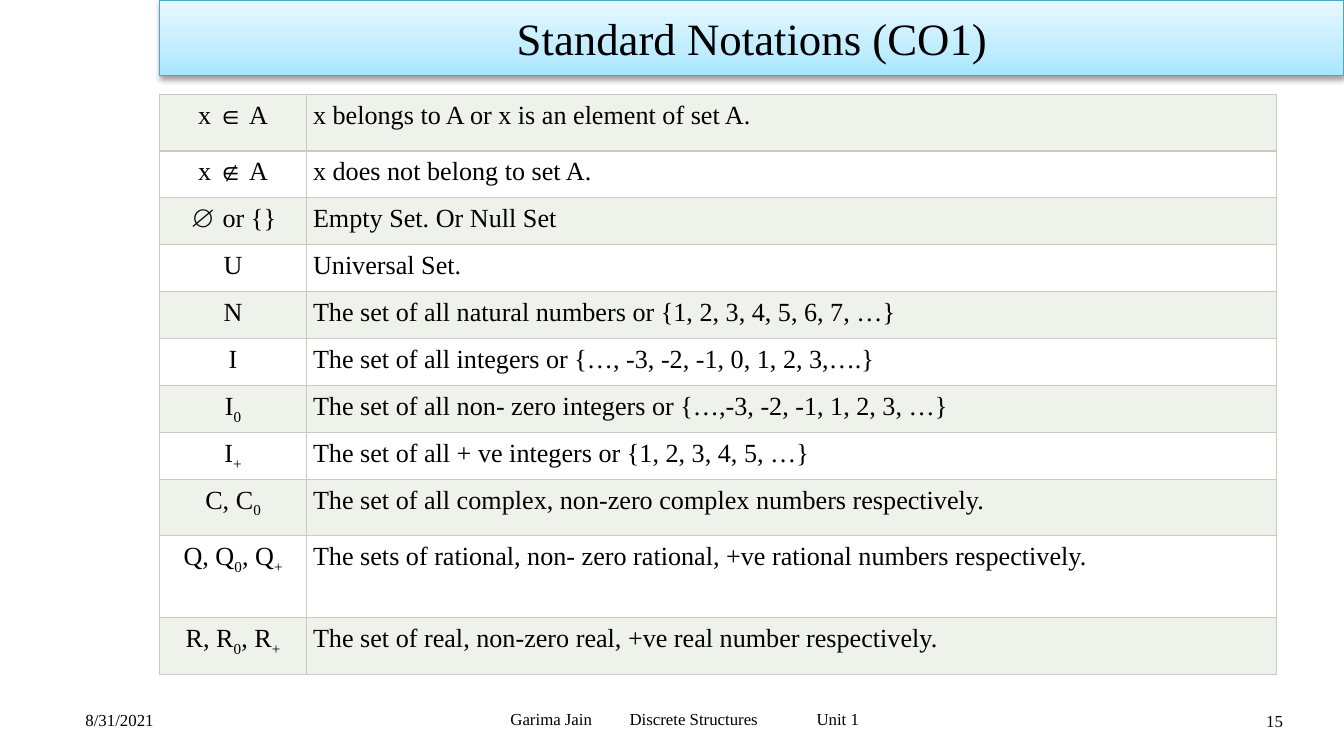
"""Build a slide with a table of standard set notations."""
from dataclasses import dataclass

from lxml import etree
from pptx import Presentation
from pptx.dml.color import RGBColor
from pptx.enum.text import MSO_ANCHOR, MSO_AUTO_SIZE, PP_ALIGN
from pptx.oxml import parse_xml
from pptx.oxml.ns import nsdecls, qn
from pptx.util import Pt

LEFT, CENTER, RIGHT = PP_ALIGN.LEFT, PP_ALIGN.CENTER, PP_ALIGN.RIGHT
MIDDLE = MSO_ANCHOR.MIDDLE
NO_AUTOFIT = MSO_AUTO_SIZE.NONE
TITLE_ONLY = 5
FONT = "Times New Roman"
BLACK, BORDER, TITLE_LINE = "000000", "C7CCBE", "46AAC5"
BANDS = ("EFF1EB", "FFFFFF")
TITLE_STOPS = ((0, "A7E6FF"), (35, "C1EDFF"), (100, "E7F8FF"))
TABLE_LEFT, TABLE_TOP = 85.6, 50.6
COLUMN_WIDTHS = (78.5, 519.8)


@dataclass(frozen=True)
class Notation:
    """A symbol, whose every second part is a subscript, and its meaning."""
    symbol: tuple[str, ...]
    meaning: str
    height: float = 25.15


@dataclass(frozen=True)
class Note:
    """A small text at the foot of the slide."""
    text: str
    left: float
    top: float
    width: float
    height: float
    align: PP_ALIGN = LEFT
    tabs: tuple[float, ...] = ()


NOTATIONS = (
    Notation(("x ∈ A",), "x belongs to A or x is an element of set A.", 30.25),
    Notation(("x ∉ A",), "x does not belong to set A."),
    Notation(("∅ or {}",), "Empty Set. Or Null Set"),
    Notation(("U",), "Universal Set."),
    Notation(("N",), "The set of all natural numbers or {1, 2, 3, 4, 5, 6, 7, …}"),
    Notation(("I",), "The set of all integers or {…, -3, -2, -1, 0, 1, 2, 3,….}"),
    Notation(("I", "0"), "The set of all non- zero integers or {…,-3, -2, -1, 1, 2, 3, …}"),
    Notation(("I", "+"), "The set of all + ve integers or {1, 2, 3, 4, 5, …}"),
    Notation(("C, C", "0"),
             "The set of all complex, non-zero complex numbers respectively.", 30.25),
    Notation(("Q, Q", "0", ", Q", "+"),
             "The sets of rational, non- zero rational, +ve rational numbers respectively.", 43.9),
    Notation(("R, R", "0", ", R", "+"),
             "The set of real, non-zero real, +ve real number respectively.", 30.25),
)
NOTES = (
    Note("8/31/2021", 40.5, 374.6, 99.4, 22),
    Note("\tGarima Jain\tDiscrete Structures\tUnit 1", 184.3, 374.4, 364.3, 21.6,
         tabs=(83.9, 147.7, 247.9)),
    Note("15", 576, 375.2, 116.6, 21.6, RIGHT),
)


def color(hex_value: str) -> RGBColor:
    """Turn a hex string into a colour."""
    return RGBColor.from_string(hex_value)


def format_paragraph(paragraph, size: float, align: PP_ALIGN) -> None:
    """Set the alignment and font of a paragraph."""
    paragraph.alignment = align
    paragraph.font.size = Pt(size)
    paragraph.font.name = FONT
    paragraph.font.color.rgb = color(BLACK)


def set_frame(frame) -> None:
    """Give a text frame its insets, anchor and wrapping."""
    frame.auto_size = NO_AUTOFIT
    frame.word_wrap = True
    frame.vertical_anchor = MIDDLE
    frame.margin_left = frame.margin_right = Pt(5.25)
    frame.margin_top = frame.margin_bottom = Pt(2.63)


def draw_title(title) -> None:
    """Place the title as a shaded banner."""
    title.left, title.top, title.width, title.height = Pt(85.6), Pt(0), Pt(634.4), Pt(40.5)
    stops = "".join(f'<a:gs pos="{position * 1000}"><a:srgbClr val="{tint}"/></a:gs>'
                    for position, tint in TITLE_STOPS)
    properties = title.element.spPr
    properties.append(parse_xml(
        f'<a:gradFill {nsdecls("a")} rotWithShape="1"><a:gsLst>{stops}</a:gsLst>'
        '<a:lin ang="16200000" scaled="0"/></a:gradFill>'))
    title.line.color.rgb = color(TITLE_LINE)
    title.line.width = Pt(0.75)
    properties.append(parse_xml(
        f'<a:effectLst {nsdecls("a")}><a:outerShdw blurRad="{Pt(3.1)}" dist="{Pt(1.6)}" '
        f'dir="5400000" rotWithShape="0"><a:srgbClr val="{BLACK}">'
        '<a:alpha val="38000"/></a:srgbClr></a:outerShdw></a:effectLst>'))
    title.text_frame.text = "Standard Notations (CO1)"
    set_frame(title.text_frame)
    format_paragraph(title.text_frame.paragraphs[0], 24, CENTER)


def fill_cell(cell, parts: tuple[str, ...], align: PP_ALIGN, band: str) -> None:
    """Write a table cell with its border, band and subscripts."""
    cell.margin_left = cell.margin_right = cell.margin_top = cell.margin_bottom = Pt(3.6)
    properties = cell._tc.get_or_add_tcPr()
    for side in "LRTB":
        properties.append(parse_xml(
            f'<a:ln{side} {nsdecls("a")} w="{Pt(0.75)}"><a:solidFill>'
            f'<a:srgbClr val="{BORDER}"/></a:solidFill></a:ln{side}>'))
    cell.fill.solid()
    cell.fill.fore_color.rgb = color(band)
    paragraph = cell.text_frame.paragraphs[0]
    for index, part in enumerate(parts):
        run = paragraph.add_run()
        run.text = part
        if index % 2:
            run._r.get_or_add_rPr().set("baseline", "-25000")
    format_paragraph(paragraph, 14, align)


def draw_notations(slide) -> None:
    """Draw the table of notations."""
    table = slide.shapes.add_table(
        len(NOTATIONS), len(COLUMN_WIDTHS), Pt(TABLE_LEFT), Pt(TABLE_TOP),
        Pt(sum(COLUMN_WIDTHS)), Pt(sum(notation.height for notation in NOTATIONS))).table
    for column, width in zip(table.columns, COLUMN_WIDTHS):
        column.width = Pt(width)
    for index, notation in enumerate(NOTATIONS):
        table.rows[index].height = Pt(notation.height)
        band = BANDS[index % 2]
        fill_cell(table.cell(index, 0), notation.symbol, CENTER, band)
        fill_cell(table.cell(index, 1), (notation.meaning,), LEFT, band)


def draw_note(slide, note: Note) -> None:
    """Draw a footer text, with tab stops if it has any."""
    frame = slide.shapes.add_textbox(
        Pt(note.left), Pt(note.top), Pt(note.width), Pt(note.height)).text_frame
    set_frame(frame)
    paragraph = frame.paragraphs[0]
    paragraph.text = note.text
    if note.tabs:
        stops = etree.SubElement(paragraph._p.get_or_add_pPr(), qn("a:tabLst"))
        for position in note.tabs:
            etree.SubElement(stops, qn("a:tab"), pos=str(Pt(position)), algn="l")
    format_paragraph(paragraph, 9, note.align)


def main() -> None:
    """Build and save the presentation."""
    presentation = Presentation()
    presentation.slide_width, presentation.slide_height = Pt(720), Pt(405)
    slide = presentation.slides.add_slide(presentation.slide_layouts[TITLE_ONLY])
    draw_title(slide.shapes.title)
    draw_notations(slide)
    for note in NOTES:
        draw_note(slide, note)
    presentation.save("out.pptx")


if __name__ == "__main__":
    main()
